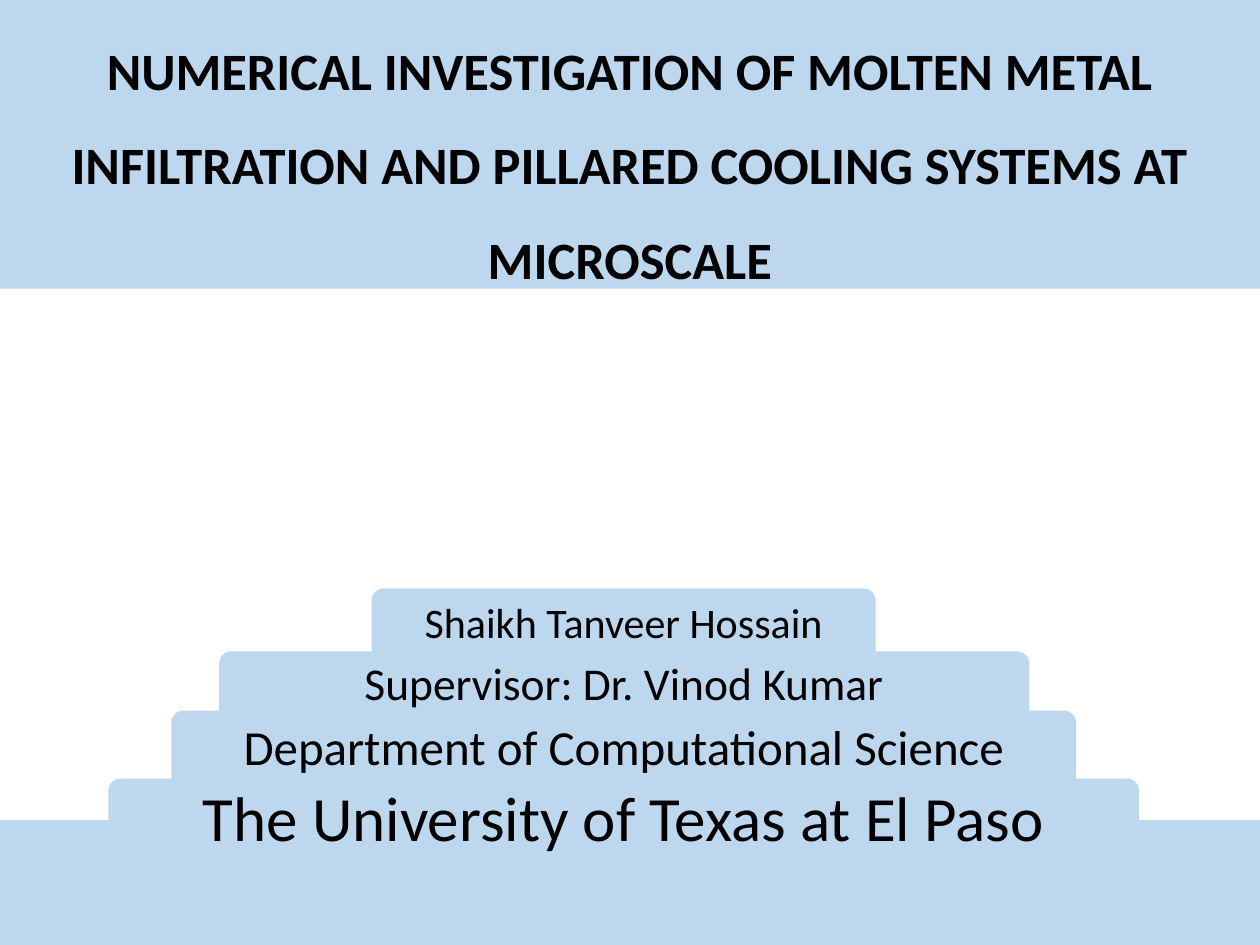
"""Build the title slide with a heading band and stepped credit tabs."""
from pptx import Presentation
from pptx.dml.color import RGBColor
from pptx.enum.shapes import MSO_SHAPE
from pptx.enum.text import MSO_ANCHOR, MSO_AUTO_SIZE, PP_ALIGN
from pptx.util import Inches, Pt


def rgb(value):
    return RGBColor.from_string(value)


def add_block(kind, left, top, width, height, text="", size=24):
    sp = s.shapes.add_shape(kind, Inches(left), Inches(top), Inches(width), Inches(height))
    sp.shadow.inherit = False
    sp.fill.solid()
    sp.fill.fore_color.rgb = rgb("BDD7EE")
    sp.line.fill.background()
    if text:
        tf = sp.text_frame
        tf.word_wrap = True
        tf.vertical_anchor = MSO_ANCHOR.MIDDLE
        p = tf.paragraphs[0]
        p.text = text
        p.alignment = PP_ALIGN.CENTER
        p.font.name = "Calibri"
        p.font.size = Pt(size)
        p.font.color.rgb = rgb("000000")
    return sp


prs = Presentation()
prs.slide_width, prs.slide_height = Inches(10), Inches(7.5)
s = prs.slides.add_slide(prs.slide_layouts[6])

add_block(MSO_SHAPE.RECTANGLE, 0, 6.51, 10, 0.99)

title = add_block(
    MSO_SHAPE.RECTANGLE, 0, 0, 10, 2.29,
    "NUMERICAL INVESTIGATION OF MOLTEN METAL INFILTRATION "
    "AND PILLARED COOLING SYSTEMS AT MICROSCALE", 30)
tf = title.text_frame
tf.vertical_anchor = MSO_ANCHOR.TOP
tf.auto_size = MSO_AUTO_SIZE.SHAPE_TO_FIT_TEXT
p = tf.paragraphs[0]
p.line_spacing = 1.5
p.font.bold = True

tab_height = 0.57
tabs = [
    (2.95, 4.67, 4, "Shaikh Tanveer Hossain", 24),
    (1.74, 5.17, 6.43, "Supervisor: Dr. Vinod Kumar", 26),
    (1.36, 5.64, 7.18, "Department of Computational Science", 28),
    (0.86, 6.18, 8.18, "The University of Texas at El Paso", 36),
]
next_tops = [tab[1] for tab in tabs[1:]] + [tabs[-1][1] + tab_height]
for (left, top, width, text, size), next_top in zip(tabs, next_tops):
    sp = add_block(MSO_SHAPE.ROUND_2_SAME_RECTANGLE, left, top, width, tab_height, text, size)
    sp.text_frame.margin_top = 0
    sp.text_frame.margin_bottom = Inches(round(top + tab_height - next_top, 2))

prs.save("out.pptx")
